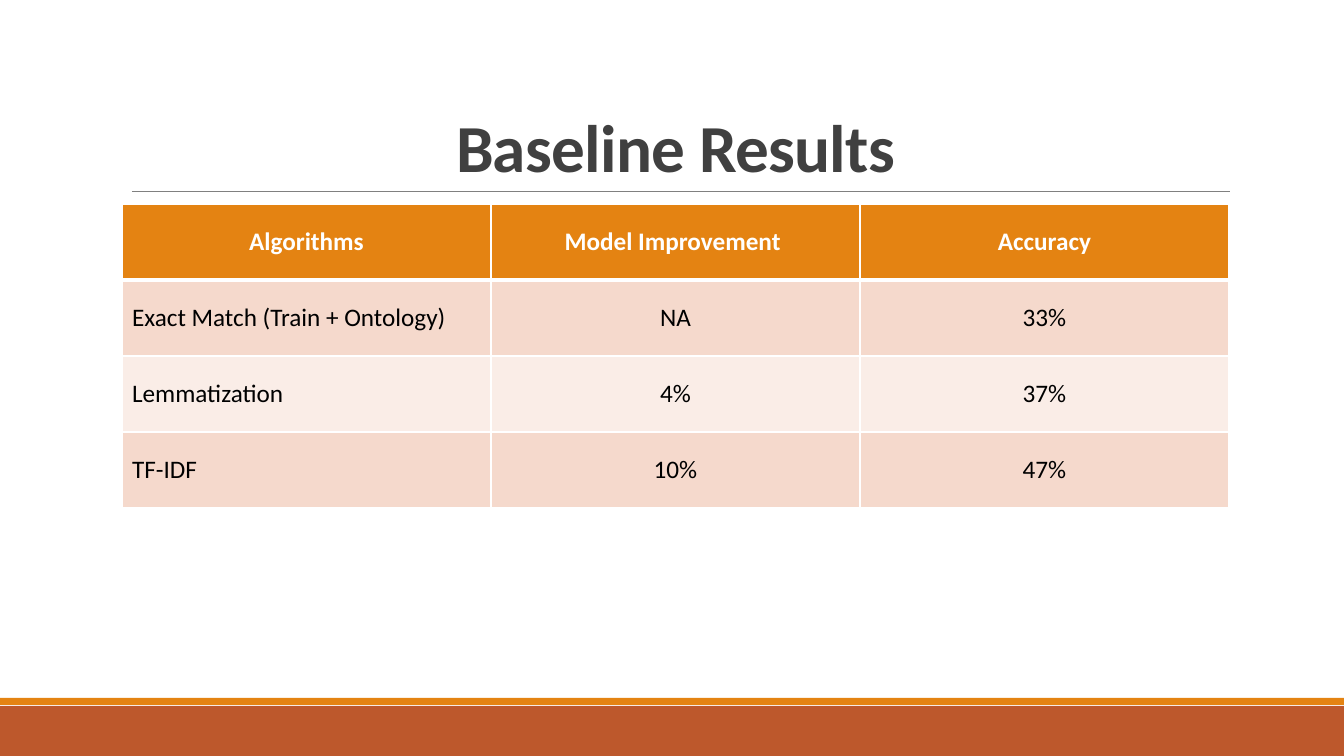
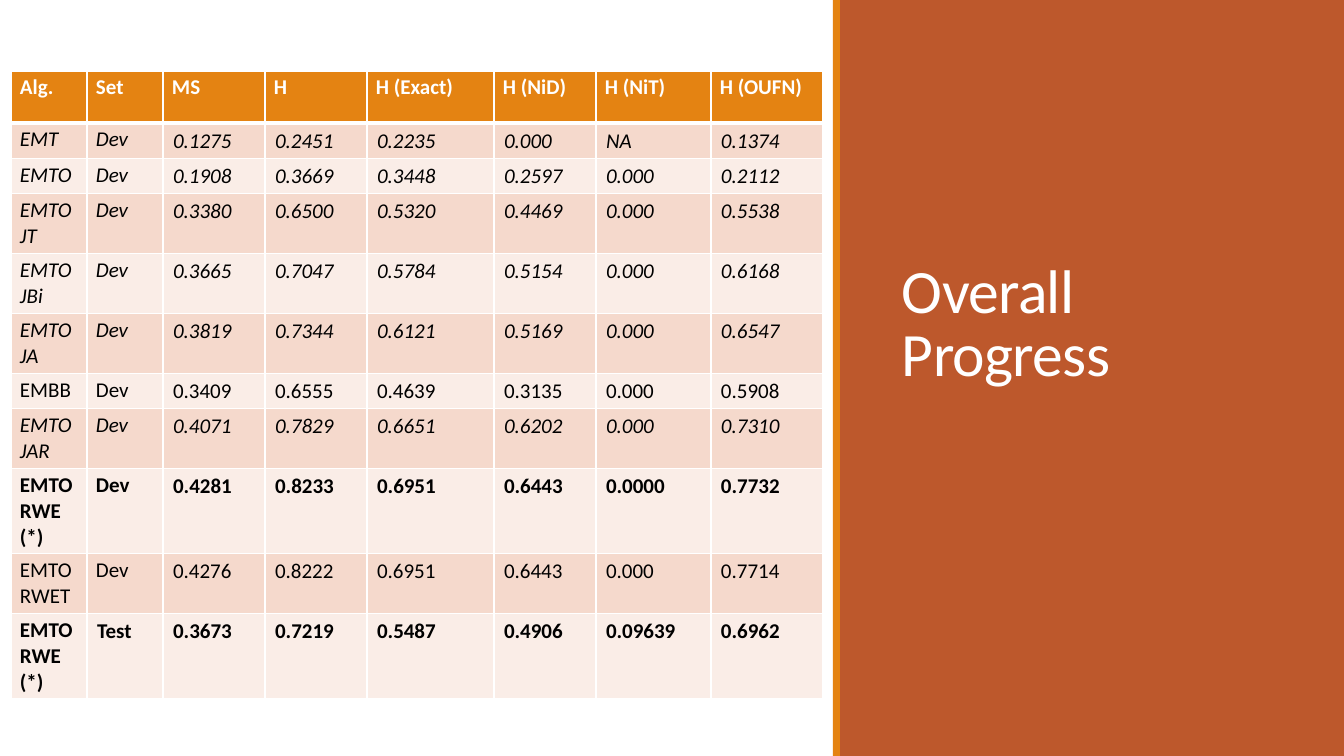
import pptx
import pptx.dml.color
import pptx.enum.shapes
import pptx.enum.text
import pptx.oxml.ns
import pptx.util
from lxml import etree

WIDE, HIGH = 1344, 756
SCALE = 12192000 / WIDE
FONT = "Calibri"
RUST, AMBER, WHITE, BLACK = "BD582C", "E48312", "FFFFFF", "000000"
GREY, DARK = "808080", "404040"
BANDS = ["F5D9CC", "FAEDE7"]
ALIGN = pptx.enum.text.PP_ALIGN
ANCHOR = pptx.enum.text.MSO_ANCHOR
LEFT, MID = ALIGN.LEFT, ALIGN.CENTER

BASE = [
    ["Algorithms", "Model Improvement ", "Accuracy"],
    ["Exact Match (Train + Ontology)", "NA", "33%"],
    ["Lemmatization", "4%", "37%"],
    ["TF-IDF", "10%", "47%"],
]
HEADS = ["Alg.", "Set", "MS", "H", "H (Exact)", "H (NiD)", "H (NiT)", "H (OUFN)"]
# Each row: style (i italic, b bold), then its cells
SCORES = [
    ("i", "EMT", "Dev", "0.1275", "0.2451", "0.2235", "0.000", "NA", "0.1374"),
    ("i", "EMTO", "Dev", "0.1908", "0.3669", "0.3448", "0.2597", "0.000", "0.2112"),
    ("i", "EMTO\nJT", "Dev", "0.3380", "0.6500", "0.5320", "0.4469", "0.000", "0.5538"),
    ("i", "EMTO\nJBi", "Dev", "0.3665", "0.7047", "0.5784", "0.5154", "0.000", "0.6168"),
    ("i", "EMTO\nJA", "Dev", "0.3819", "0.7344", "0.6121", "0.5169", "0.000", "0.6547"),
    ("", "EMBB", "Dev", "0.3409", "0.6555", "0.4639", "0.3135", "0.000", "0.5908"),
    ("i", "EMTO\nJAR", "Dev", "0.4071", "0.7829", "0.6651", "0.6202", "0.000", "0.7310"),
    ("b", "EMTO\nRWE\n(*)", "Dev", "0.4281", "0.8233", "0.6951", "0.6443", "0.0000", "0.7732"),
    ("", "EMTO\nRWET", "Dev", "0.4276", "0.8222", "0.6951", "0.6443", "0.000", "0.7714"),
    ("b", "EMTO\nRWE\n(*)", "Test", "0.3673", "0.7219", "0.5487", "0.4906", "0.09639", "0.6962"),
]


def px(size):
    return pptx.util.Emu(round(size * SCALE))


def tint(code):
    return pptx.dml.color.RGBColor.from_string(code)


def node(parent, tag, **attrs):
    return etree.SubElement(parent, pptx.oxml.ns.qn(tag), attrs)


def write(frame, text, size, color, style="", align=LEFT):
    """Fill a text frame, one paragraph a line, and return the runs."""
    runs = []
    for i, line in enumerate(text.split("\n")):
        para = frame.paragraphs[0] if i == 0 else frame.add_paragraph()
        para.alignment = align
        run = para.add_run()
        run.text = line
        run.font.name = FONT
        run.font.size = pptx.util.Pt(size)
        run.font.color.rgb = tint(color)
        run.font.bold = "b" in style
        run.font.italic = "i" in style
        runs.append(run)
    return runs


def bar(slide, x, y, w, h, color):
    shape = slide.shapes.add_shape(
        pptx.enum.shapes.MSO_SHAPE.RECTANGLE, px(x), px(y), px(w), px(h))
    shape.shadow.inherit = False
    shape.fill.solid()
    shape.fill.fore_color.rgb = tint(color)
    shape.line.fill.background()


def rule(slide, x, y, end):
    line = slide.shapes.add_connector(
        pptx.enum.shapes.MSO_CONNECTOR.STRAIGHT, px(x), px(y), px(end), px(y))
    line.line.color.rgb = tint(GREY)
    line.line.width = pptx.util.Pt(0.5)
    node(line._element.spPr, "a:effectLst")


def title(slide, x, y, w, h, text, size, color, style="", align=LEFT):
    frame = slide.shapes.add_textbox(px(x), px(y), px(w), px(h)).text_frame
    frame.word_wrap = True
    frame.vertical_anchor = ANCHOR.BOTTOM
    for run in write(frame, text, size, color, style, align):
        run._r.get_or_add_rPr().set("spc", "-50")
    frame.paragraphs[0].line_spacing = 0.85


def edge(cell, row):
    """Draw white cell borders, thick under the header."""
    props = cell._tc.get_or_add_tcPr()
    thick = {"T": row == 1, "B": row == 0}
    for side in "LRTB":
        width = pptx.util.Pt(3 if thick.get(side) else 1)
        line = node(props, "a:ln" + side, w=str(width))
        node(node(line, "a:solidFill"), "a:srgbClr", val=WHITE)


def grid(slide, x, y, cols, rows):
    """Add a table with a header colour and banded rows; return its cells."""
    table = slide.shapes.add_table(
        len(rows), len(cols), px(x), px(y), px(sum(cols)), px(sum(rows))).table
    table.first_row = table.horz_banding = False
    for col, width in zip(table.columns, cols):
        col.width = px(width)
    for r, height in enumerate(rows):
        table.rows[r].height = px(height)
        for c in range(len(cols)):
            cell = table.cell(r, c)
            edge(cell, r)
            cell.fill.solid()
            cell.fill.fore_color.rgb = tint(BANDS[(r - 1) % 2] if r else AMBER)
    return table


def base(slide):
    # Footer bands and title
    bar(slide, 0, 706, WIDE, 50, RUST)
    bar(slide, 0, 698, WIDE, 7, AMBER)
    rule(slide, 132, 191, 1230)
    title(slide, 121, 31, 1109, 160, "Baseline Results", 48, DARK, "b", MID)
    # Results
    table = grid(slide, 122, 204, [369] * 3, [76] * 4)
    for r, row in enumerate(BASE):
        for c, text in enumerate(row):
            cell = table.cell(r, c)
            cell.vertical_anchor = ANCHOR.MIDDLE
            write(cell.text_frame, text, 18, BLACK if r else WHITE,
                  "" if r else "b", LEFT if r and c == 0 else MID)


def scores(slide):
    # Side panel and title
    bar(slide, 840, 0, WIDE - 840, HIGH, RUST)
    title(slide, 892, 71, 403, 323, "Overall Progress", 44, WHITE)
    bar(slide, 833, 0, 7, HIGH, AMBER)
    # Scores, row height by the lines in the first cell
    cols = [76, 76, 102, 102, 127, 102, 115, 112]
    rows = [52] + [35 + 25 * row[1].count("\n") for row in SCORES]
    table = grid(slide, 11, 71, cols, rows)
    for r, (style, *row) in enumerate([("b", *HEADS)] + SCORES):
        for c, text in enumerate(row):
            cell = table.cell(r, c)
            if r == 0 or c == 0 or text == "Dev":
                cell.margin_left = cell.margin_right = px(9)
                cell.margin_top = cell.margin_bottom = px(4)
            write(cell.text_frame, text, 15, BLACK if r else WHITE, style)


def main():
    deck = pptx.Presentation()
    deck.slide_width, deck.slide_height = px(WIDE), px(HIGH)
    for build in (base, scores):
        build(deck.slides.add_slide(deck.slide_layouts[6]))
    deck.save("out.pptx")


if __name__ == "__main__":
    main()
